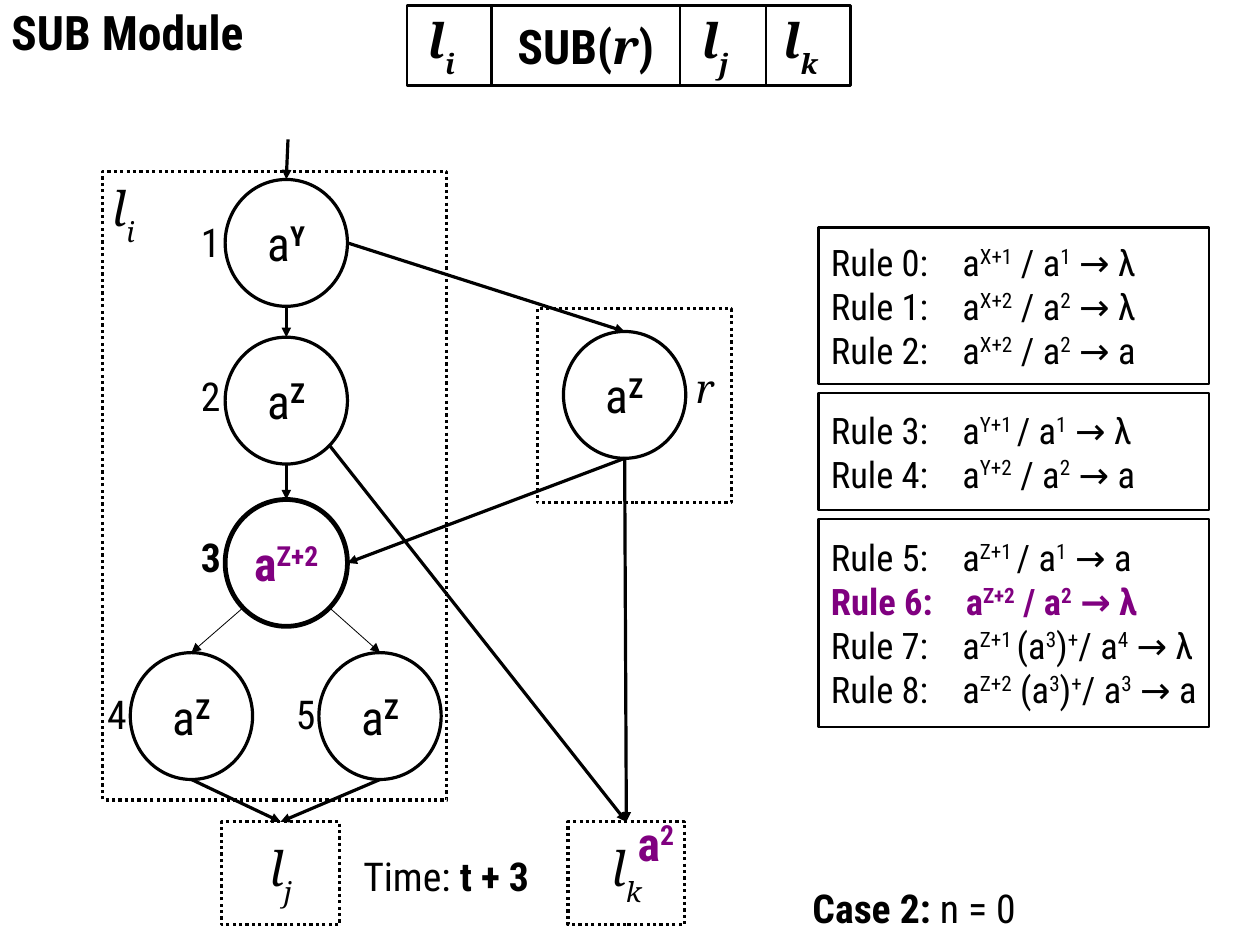
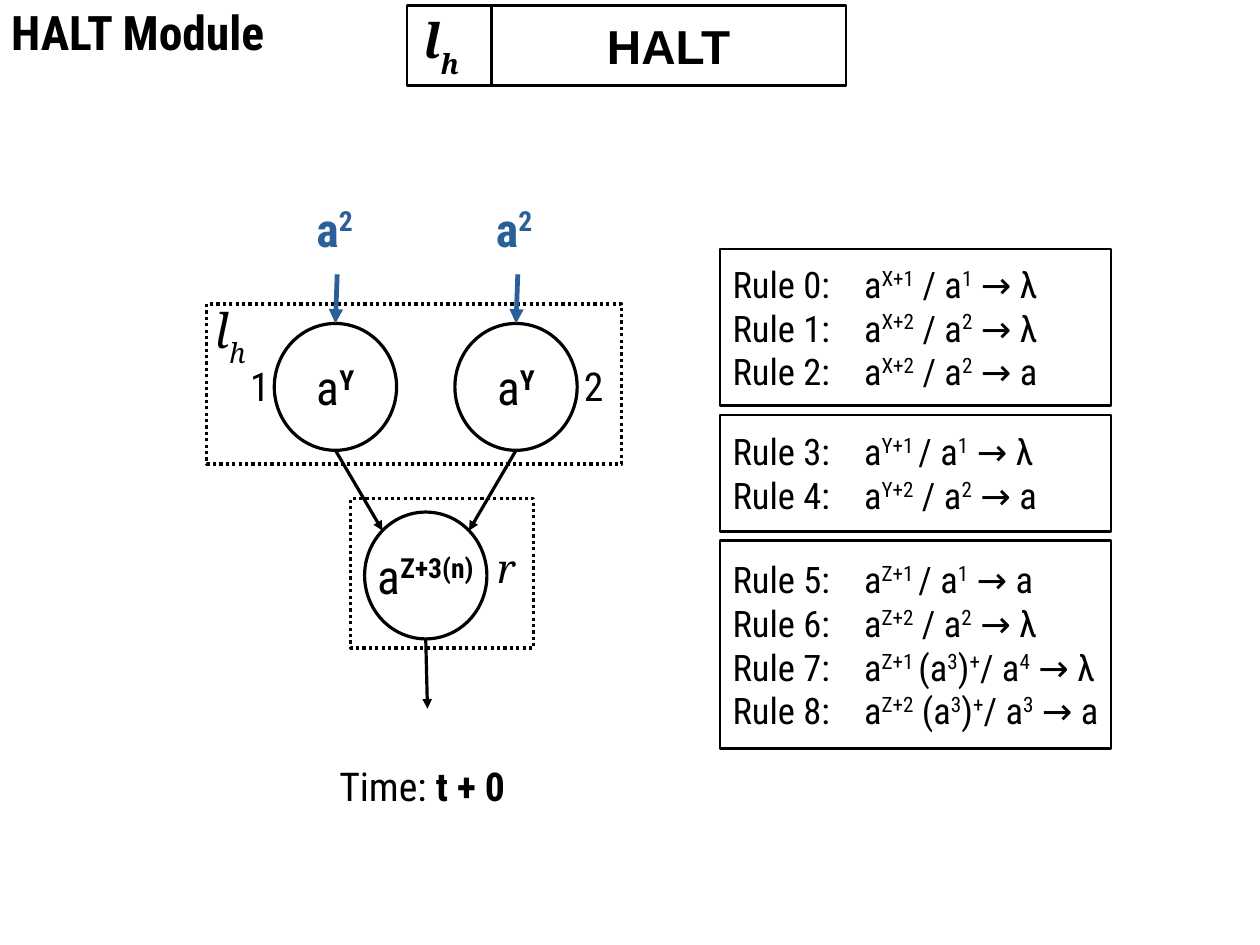
"""Build two slides on the SUB and HALT modules of a spiking neural system."""
import math

import pptx
import pptx.dml.color
import pptx.enum.dml
import pptx.enum.shapes
import pptx.enum.text
import pptx.oxml
import pptx.oxml.ns
import pptx.util

Inches = pptx.util.Inches
Pt = pptx.util.Pt
Shape = pptx.enum.shapes.MSO_SHAPE
Align = pptx.enum.text.PP_ALIGN
Anchor = pptx.enum.text.MSO_ANCHOR

BLACK = pptx.dml.color.RGBColor(0x00, 0x00, 0x00)
PURPLE = pptx.dml.color.RGBColor(0x80, 0x00, 0x80)
BLUE = pptx.dml.color.RGBColor(0x2A, 0x60, 0x99)

SANS, SERIF = "Roboto Condensed", "Noto Serif"


def style(size, name=SANS, color=BLACK, bold=False, italic=False):
    return {"color": color, "font": {"size": Pt(size), "name": name, "bold": bold, "italic": italic}}


HEAVY = style(30, bold=True)
NODE = style(30)
CHARGE = style(30, color=PURPLE, bold=True)
SPIKE = style(30, color=BLUE, bold=True)
SYMBOL = style(30, SERIF, italic=True)
HEAVY_SYMBOL = style(30, SERIF, bold=True, italic=True)
HALT = style(30, "Arial", bold=True)
LABEL = style(25)
HEAVY_LABEL = style(25, bold=True)
REGISTER = style(25, SERIF, italic=True)
RULE = style(23)
FIRED_RULE = style(23, color=PURPLE, bold=True)

PAGE_WIDTH, PAGE_HEIGHT = 28 / 2.54, 21 / 2.54
MARGINS = {"margin_left": Inches(0.1), "margin_right": Inches(0.1),
           "margin_top": Inches(0.05), "margin_bottom": Inches(0.05)}
CELL_TOP, CELL_HEIGHT, CELL_LEFT = 0.05, 0.7, 3.56
NODE_WIDTH, NODE_HEIGHT = 1.07, 1.11
RULE_WIDTH, RULE_GAP, RULE_TAB, FIRED_TAB = 3.42, 0.08, 1.15, 1.18
SIDES = {"E": 0, "SE": 45, "S": 90, "SW": 135, "W": 180, "NW": 225, "N": 270, "NE": 315}

RULE_GROUPS = [
    (1.37, ["a^X+1^ / a^1^ → λ", "a^X+2^ / a^2^ → λ", "a^X+2^ / a^2^ → a"]),
    (1.02, ["a^Y+1 ^/ a^1^ → λ", "a^Y+2^ / a^2^ → a"]),
    (1.82, ["a^Z+1 ^/ a^1^ → a", "a^Z+2^ / a^2^ → λ",
            "a^Z+1 ^(a^3^)^+^/ a^4^ → λ", "a^Z+2^ (a^3^)^+^/ a^3^ → a"]),
]


def neuron(exponent):
    return [("a", NODE), (f"^{exponent}", HEAVY)]


SLIDES = [
    {
        "title": "SUB Module",
        "title_width": 2.3,
        "cells": [
            (0.74, [("l_i", HEAVY_SYMBOL)]),
            (1.65, [("SUB(", HEAVY), ("r", HEAVY_SYMBOL), (")", HEAVY)]),
            (0.75, [("l_j", HEAVY_SYMBOL)]),
            (0.74, [("l_k", HEAVY_SYMBOL)]),
        ],
        "rules_at": (7.16, 1.99),
        "fired": 6,
        "nodes": {
            "1": (1.97, 1.57, neuron("Y"), 2),
            "2": (1.97, 2.95, neuron("Z"), 2),
            "3": (1.97, 4.37, [("a^Z+2", CHARGE)], 3),
            "4": (1.14, 5.71, neuron("Z"), 2),
            "5": (2.79, 5.71, neuron("Z"), 2),
            "r": (4.93, 2.9, neuron("Z"), 2),
        },
        "frames": {
            "li": (0.9, 1.5, 3.01, 5.5, []),
            "register": (4.7, 2.7, 1.7, 1.7, []),
            "lj": (1.94, 7.19, 1.03, 0.9, [("l_j", SYMBOL)]),
            "lk": (4.97, 7.19, 1.02, 0.9, [("l_k", SYMBOL)]),
        },
        "links": [
            ((2.52, 1.22), ("1", "N"), 2, BLACK),
            (("1", "S"), ("2", "N"), 2, BLACK),
            (("2", "S"), ("3", "N"), 2, BLACK),
            (("3", "SE"), ("5", "N"), 0.5, BLACK),
            (("3", "SW"), ("4", "N"), 0.5, BLACK),
            (("4", "S"), ("lj", "N"), 2, BLACK),
            (("5", "S"), ("lj", "N"), 2, BLACK),
            (("1", "E"), ("r", "N"), 2, BLACK),
            (("2", "SE"), ("lk", "N"), 2, BLACK),
            (("r", "S"), ("lk", "N"), 2, BLACK),
            (("r", "S"), ("3", "E"), 2, BLACK),
        ],
        "labels": [
            (0.88, 1.52, 0.42, [("l_i", SYMBOL)]),
            (1.66, 1.86, 0.4, [("1", LABEL)]),
            (1.66, 3.2, 0.4, [("2", LABEL)]),
            (1.66, 4.61, 0.4, [("3", HEAVY_LABEL)]),
            (0.84, 5.99, 0.4, [("4", LABEL)]),
            (2.49, 5.99, 0.4, [("5", LABEL)]),
            (5.99, 3.13, 0.31, [("r", REGISTER)]),
            (5.48, 7.07, 0.58, [("a^2", CHARGE)]),
            (3.08, 7.4, 1.72, [("Time: ", LABEL), ("t + 3", HEAVY_LABEL)]),
            (7.01, 7.68, 3.99, [("Case 2: ", HEAVY_LABEL), ("n = 0", LABEL)]),
        ],
    },
    {
        "title": "HALT Module",
        "title_width": 2.5,
        "cells": [(0.74, [("l_h", HEAVY_SYMBOL)]), (3.1, [("HALT", HALT)])],
        "rules_at": (6.3, 2.18),
        "fired": None,
        "nodes": {
            "1": (2.4, 2.83, neuron("Y"), 2),
            "2": (3.98, 2.83, neuron("Y"), 2),
            "r": (3.19, 4.48, neuron("Z+3(n)"), 2),
        },
        "frames": {
            "lh": (1.81, 2.66, 3.63, 1.4, []),
            "register": (3.07, 4.36, 1.6, 1.31, []),
        },
        "links": [
            ((2.95, 2.4), ("1", "N"), 3, BLUE),
            ((4.53, 2.4), ("2", "N"), 3, BLUE),
            (("1", "S"), ("r", "NW"), 2, BLACK),
            (("2", "S"), ("r", "NE"), 2, BLACK),
            (("r", "S"), (3.74, 6.2), 2, BLACK),
        ],
        "labels": [
            (1.78, 2.58, 0.52, [("l_h", SYMBOL)]),
            (2.09, 3.12, 0.4, [("1", LABEL)]),
            (5.01, 3.12, 0.4, [("2", LABEL)]),
            (4.25, 4.71, 0.31, [("r", REGISTER)]),
            (2.67, 1.7, 0.58, [("a^2", SPIKE)]),
            (4.24, 1.7, 0.58, [("a^2", SPIKE)]),
            (2.87, 6.62, 1.72, [("Time: ", LABEL), ("t + 0", HEAVY_LABEL)]),
        ],
    },
]


def write(para, pieces):
    for text, look in pieces:
        mark, shift = ("_", -33000) if "_" in text else ("^", 33000)
        for index, part in enumerate(text.split(mark)):
            if not part:
                continue
            span = para.add_run()
            span.text = part
            for key, value in look["font"].items():
                setattr(span.font, key, value)
            span.font.color.rgb = look["color"]
            if index % 2:
                span._r.get_or_add_rPr().set("baseline", str(shift))


def add_outline(page, kind, place, weight, pieces=()):
    box = page.shapes.add_shape(kind, *map(Inches, place))
    box.shadow.inherit = False
    box.fill.background()
    box.line.color.rgb = BLACK
    box.line.width = Pt(weight)
    frame = box.text_frame
    frame.word_wrap = False
    frame.vertical_anchor = Anchor.MIDDLE
    for key, value in MARGINS.items():
        setattr(frame, key, value)
    frame.paragraphs[0].alignment = Align.CENTER
    write(frame.paragraphs[0], pieces)
    return box


def add_label(page, left, top, width, pieces):
    box = page.shapes.add_textbox(*map(Inches, (left, top, width, 0.6)))
    frame = box.text_frame
    frame.word_wrap = True
    for key, value in MARGINS.items():
        setattr(frame, key, value)
    write(frame.paragraphs[0], pieces)


def add_cells(page, cells):
    left = CELL_LEFT
    for width, pieces in cells:
        box = add_outline(page, Shape.RECTANGLE, (left, CELL_TOP, width, CELL_HEIGHT), 1.5, pieces)
        if "_" in pieces[0][0]:
            box.text_frame.margin_right = Inches(0.23)
        left += width


def add_rules(page, left, top, fired):
    number = 0
    for height, rules in RULE_GROUPS:
        box = add_outline(page, Shape.RECTANGLE, (left, top, RULE_WIDTH, height), 1.5)
        frame = box.text_frame
        frame.word_wrap = True
        frame.margin_left, frame.margin_right = Inches(0.11), 0
        for index, rule in enumerate(rules):
            look, tab = (FIRED_RULE, FIRED_TAB) if number == fired else (RULE, RULE_TAB)
            para = frame.add_paragraph() if index else frame.paragraphs[0]
            para.alignment = Align.LEFT
            para._p.get_or_add_pPr().append(pptx.oxml.parse_xml(
                f'<a:tabLst {pptx.oxml.ns.nsdecls("a")}>'
                f'<a:tab pos="{Inches(tab)}" algn="l"/></a:tabLst>'))
            write(para, [(f"Rule {number}:\t{rule}", look)])
            number += 1
        top += height + RULE_GAP


def locate(end, shapes):
    if not isinstance(end[0], str):
        return tuple(map(Inches, end))
    shape, angle = shapes[end[0]], math.radians(SIDES[end[1]])
    return (round(shape.left + shape.width / 2 * (1 + math.cos(angle))),
            round(shape.top + shape.height / 2 * (1 + math.sin(angle))))


def add_arrow(page, start, end, weight, color, shapes, frames):
    arrow = page.shapes.add_connector(
        pptx.enum.shapes.MSO_CONNECTOR.STRAIGHT, *locate(start, shapes), *locate(end, shapes))
    if end[0] in frames:
        arrow.end_connect(shapes[end[0]], 0)
    arrow.line.color.rgb = color
    arrow.line.width = Pt(weight)
    names = pptx.oxml.ns.nsdecls("a")
    arrow.line._get_or_add_ln().append(pptx.oxml.parse_xml(f'<a:tailEnd {names} type="triangle"/>'))
    arrow._element.spPr.append(pptx.oxml.parse_xml(f"<a:effectLst {names}/>"))


def add_module(page, content):
    add_label(page, 0, -0.02, content["title_width"], [(content["title"], HEAVY)])
    add_cells(page, content["cells"])
    add_rules(page, *content["rules_at"], content["fired"])
    shapes = {}
    for name, (*place, pieces) in content["frames"].items():
        shapes[name] = add_outline(page, Shape.RECTANGLE, place, 2, pieces)
        shapes[name].line.dash_style = pptx.enum.dml.MSO_LINE.ROUND_DOT
    for name, (left, top, pieces, weight) in content["nodes"].items():
        place = (left, top, NODE_WIDTH, NODE_HEIGHT)
        shapes[name] = add_outline(page, Shape.OVAL, place, weight, pieces)
    for link in content["links"]:
        add_arrow(page, *link, shapes, content["frames"])
    for label in content["labels"]:
        add_label(page, *label)


def main():
    deck = pptx.Presentation()
    deck.slide_width, deck.slide_height = Inches(PAGE_WIDTH), Inches(PAGE_HEIGHT)
    for content in SLIDES:
        add_module(deck.slides.add_slide(deck.slide_layouts[6]), content)
    deck.save("out.pptx")


if __name__ == "__main__":
    main()
